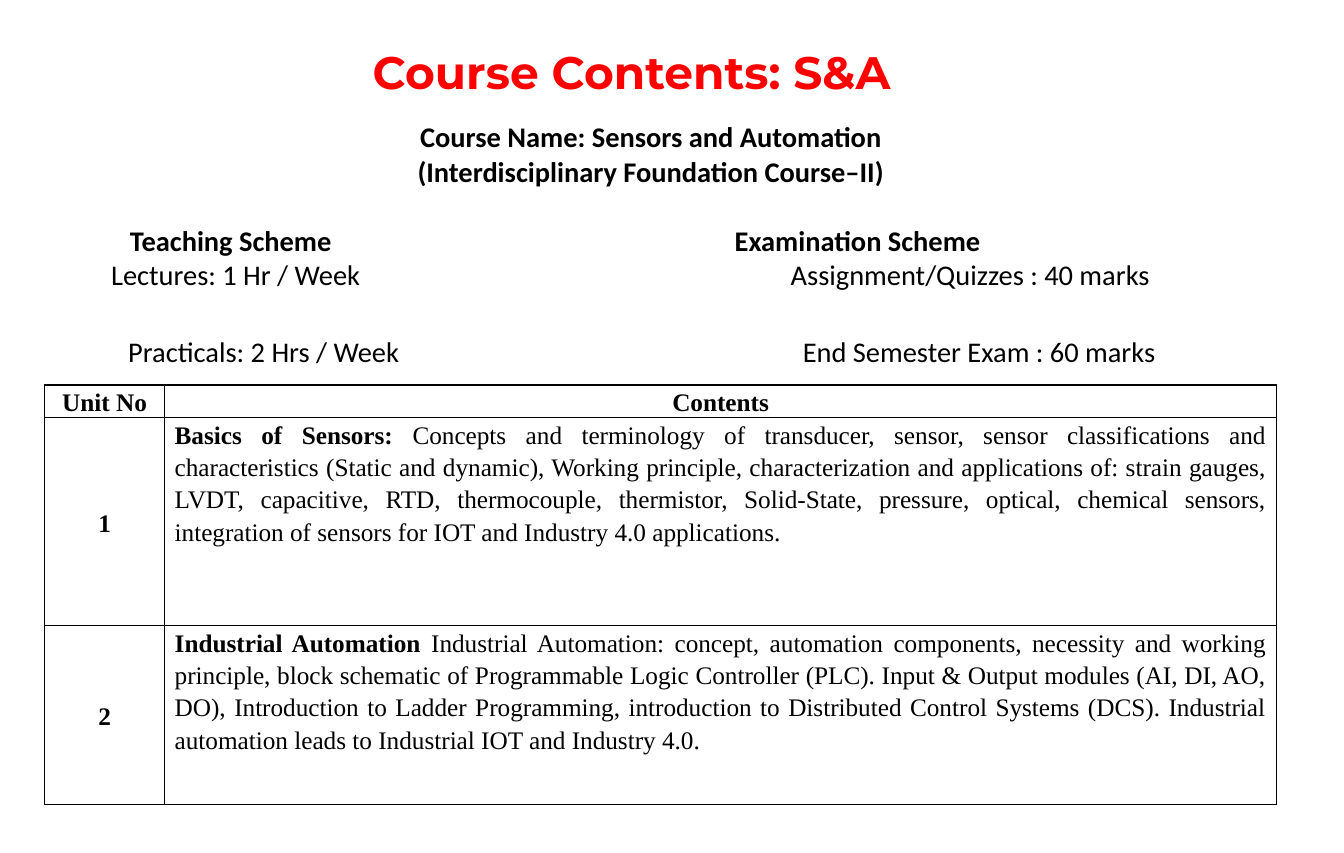
from pptx import Presentation
from pptx.dml.color import RGBColor
from pptx.enum.text import MSO_ANCHOR, MSO_AUTO_SIZE, PP_ALIGN
from pptx.oxml.ns import qn
from pptx.util import Cm, Pt
from lxml import etree

CENTER, JUSTIFY, LEFT = PP_ALIGN.CENTER, PP_ALIGN.JUSTIFY, PP_ALIGN.LEFT
TOP, MIDDLE = MSO_ANCHOR.TOP, MSO_ANCHOR.MIDDLE
NO_FIT = MSO_AUTO_SIZE.NONE

COLORS = {"title": "FF0000", "text": "000000", "cell": "FFFFFF"}

COURSE = ["Course Name: Sensors and Automation",
          "(Interdisciplinary Foundation Course–II)"]
TEACHING = [("Teaching Scheme", 0.42), ("Lectures: 1 Hr / Week", 0),
            ("Practicals: 2 Hrs / Week", 0.38)]
EXAMINATION = [("Examination Scheme", 0), ("Assignment/Quizzes : 40 marks", 1.25),
               ("End Semester Exam : 60 marks", 1.52)]
UNITS = [
    ("Basics of Sensors: ",
     "Concepts and terminology of transducer, sensor, sensor classifications and "
     "characteristics (Static and dynamic), Working principle, characterization and "
     "applications of: strain gauges, LVDT, capacitive, RTD, thermocouple, thermistor, "
     "Solid-State, pressure, optical, chemical sensors, integration of sensors for IOT "
     "and Industry 4.0 applications."),
    ("Industrial Automation ",
     "Industrial Automation: concept, automation components, necessity and working "
     "principle, block schematic of Programmable Logic Controller (PLC). Input & Output "
     "modules (AI, DI, AO, DO), Introduction to Ladder Programming, introduction to "
     "Distributed Control Systems (DCS). Industrial automation leads to Industrial IOT "
     "and Industry 4.0."),
]


def format_run(r, font, size, bold, color="text"):
    """Set the font, size, weight and colour of a run."""
    r.font.name = font
    r.font.size = Pt(size)
    r.font.bold = bold
    r.font.color.rgb = RGBColor.from_string(COLORS[color])


def place(sp, box, anchor):
    """Move a text shape to a box in centimetres and return its text frame."""
    sp.left, sp.top, sp.width, sp.height = [Cm(v) for v in box]
    tf = sp.text_frame
    tf.auto_size = NO_FIT
    tf.word_wrap = True
    tf.vertical_anchor = anchor
    tf.margin_left = tf.margin_right = tf.margin_top = tf.margin_bottom = 0
    return tf


def add_title(s, box):
    """Fill the title placeholder."""
    tf = place(s.shapes.title, box, MIDDLE)
    tf.text = "Course Contents: S&A"
    p = tf.paragraphs[0]
    p.alignment = CENTER
    p.line_spacing = 0.8
    format_run(p.runs[0], "Montserrat", 28.8, True, "title")


def add_course_name(s, box):
    """Add the centred course name."""
    tf = place(s.shapes.add_textbox(0, 0, 0, 0), box, TOP)
    tf.text = "\n".join(COURSE)
    for p in tf.paragraphs:
        p.alignment = CENTER
        format_run(p.runs[0], "Calibri", 18, True)


def add_scheme(sp, box, lines):
    """Fill a body placeholder with a heading and its two entries."""
    tf = place(sp, box, TOP)
    tf.text = "\n".join(text for text, _ in lines)
    for i, (p, (_, indent)) in enumerate(zip(tf.paragraphs, lines)):
        p.alignment = LEFT
        p.space_before = Pt(27 if i == 2 else 0)
        pPr = p._p.get_or_add_pPr()
        pPr.set("marL", str(Cm(indent)))
        pPr.set("indent", "0")
        etree.SubElement(pPr, qn("a:buNone"))
        format_run(p.runs[0], "Calibri", 18, i == 0)


def add_borders(cell):
    """Draw a thin line on every side of a cell."""
    tcPr = cell._tc.get_or_add_tcPr()
    for side in ("lnL", "lnR", "lnT", "lnB"):
        ln = etree.SubElement(tcPr, qn(f"a:{side}"), w=str(Pt(1)))
        fill = etree.SubElement(ln, qn("a:solidFill"))
        etree.SubElement(fill, qn("a:srgbClr"), val=COLORS["text"])


def fill_cell(cell, heading, detail="", align=CENTER, anchor=MIDDLE):
    """Write a bold heading and an optional plain detail into a cell."""
    add_borders(cell)
    cell.fill.solid()
    cell.fill.fore_color.rgb = RGBColor.from_string(COLORS["cell"])
    cell.margin_left = cell.margin_right = Cm(0.23)
    cell.margin_top = cell.margin_bottom = 0
    cell.vertical_anchor = anchor
    p = cell.text_frame.paragraphs[0]
    p.text = heading
    p.alignment = align
    p.line_spacing = 1.15
    format_run(p.runs[0], "Times New Roman", 16, True)
    if detail:
        r = p.add_run()
        r.text = detail
        format_run(r, "Times New Roman", 16, False)


def add_units(s, box):
    """Add the table of units and their contents."""
    left, top, width, height = box
    frame = s.shapes.add_table(len(UNITS) + 1, 2, Cm(left), Cm(top), Cm(width), Cm(height))
    table = frame.table
    table.first_row = table.horz_banding = False
    number_width = 2.67
    table.columns[0].width = Cm(number_width)
    table.columns[1].width = Cm(width - number_width)
    for row, share in zip(table.rows, (0.07, 0.5, 0.43)):
        row.height = Cm(height * share)
    fill_cell(table.cell(0, 0), "Unit No")
    fill_cell(table.cell(0, 1), "Contents")
    for i, (heading, detail) in enumerate(UNITS, 1):
        fill_cell(table.cell(i, 0), str(i))
        fill_cell(table.cell(i, 1), heading, detail, JUSTIFY, TOP)


def main():
    """Build the slide and save it."""
    prs = Presentation()
    prs.slide_width, prs.slide_height = Cm(30), Cm(19.05)
    s = prs.slides.add_slide(prs.slide_layouts[3])
    add_title(s, (7.35, 1.07, 13.5, 1.27))
    add_course_name(s, (2.08, 2.67, 24.9, 1.6))
    add_scheme(s.placeholders[1], (2.48, 4.99, 10.5, 3.3), TEACHING)
    add_scheme(s.placeholders[2], (16.4, 4.99, 10.5, 3.3), EXAMINATION)
    add_units(s, (1, 8.6, 27.5, 9.3))
    prs.save("out.pptx")


if __name__ == "__main__":
    main()
